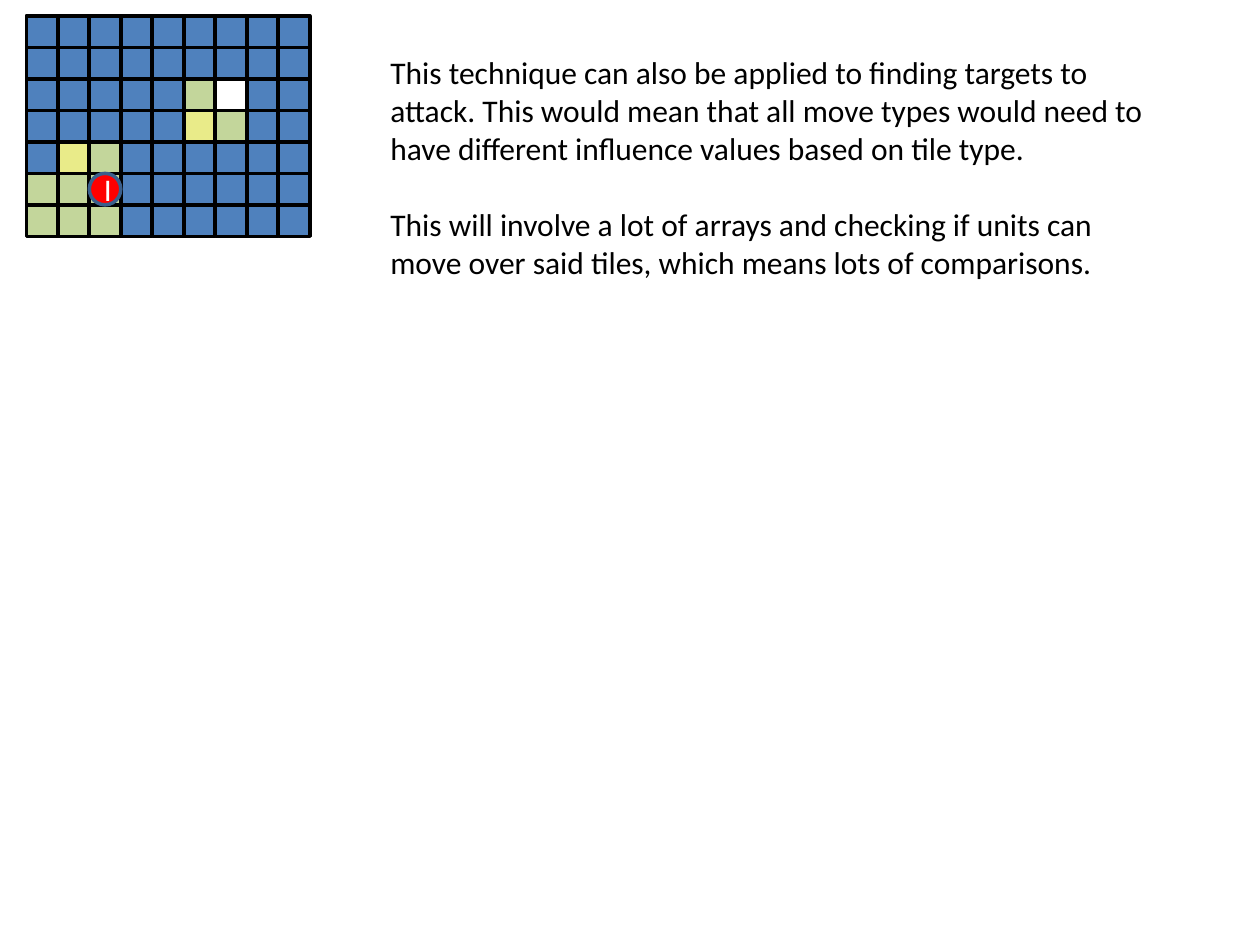
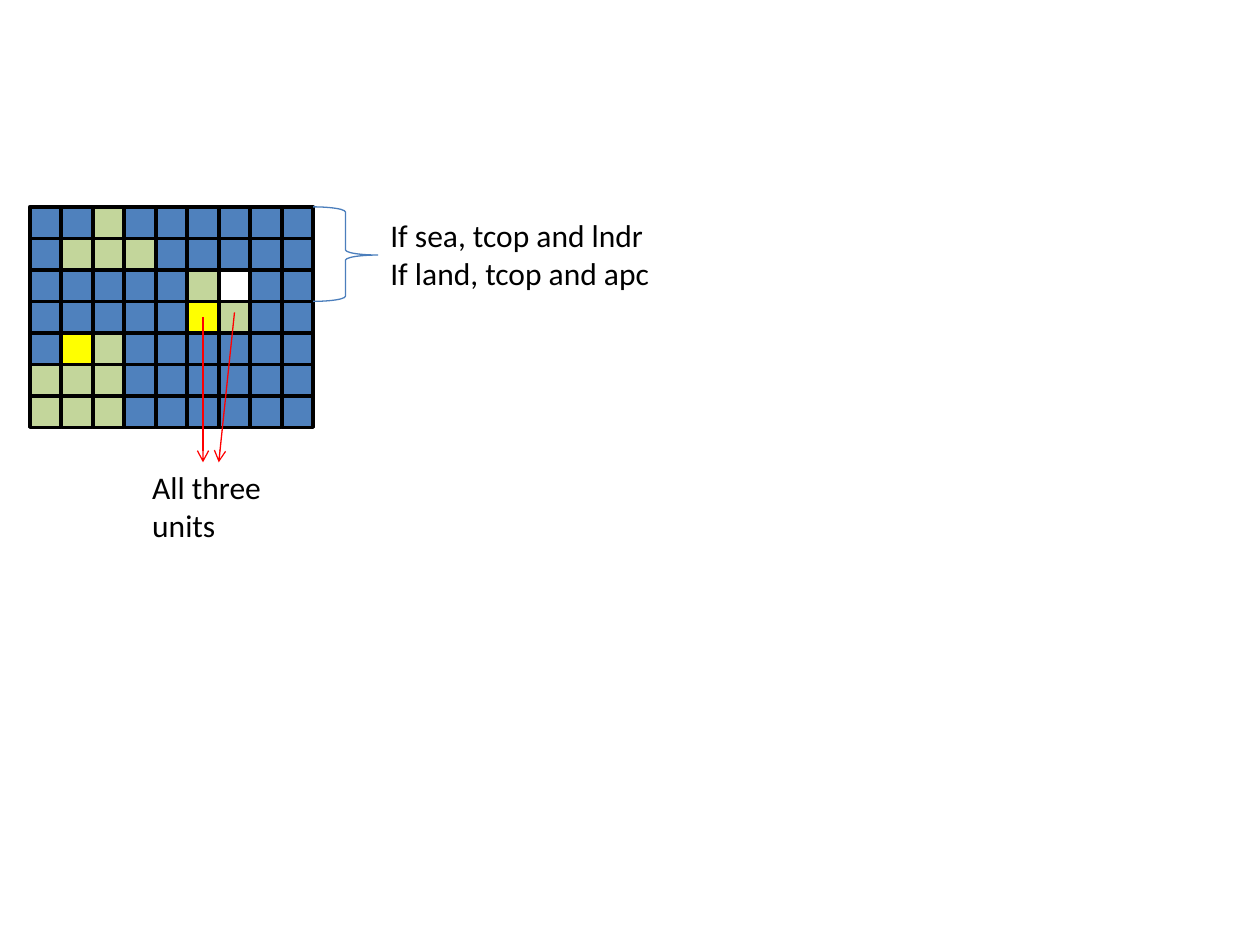
from dataclasses import dataclass

from lxml import etree
from pptx import Presentation
from pptx.dml.color import RGBColor
from pptx.enum.shapes import MSO_CONNECTOR, MSO_SHAPE
from pptx.enum.text import MSO_ANCHOR, MSO_AUTO_SIZE, PP_ALIGN
from pptx.oxml.ns import qn
from pptx.shapes.autoshape import Shape
from pptx.shapes.shapetree import GroupShapes, SlideShapes
from pptx.slide import Slide
from pptx.text.text import _Paragraph
from pptx.util import Cm, Length, Pt

RECTANGLE = MSO_SHAPE.RECTANGLE
OVAL = MSO_SHAPE.OVAL
RIGHT_BRACE = MSO_SHAPE.RIGHT_BRACE
STRAIGHT = MSO_CONNECTOR.STRAIGHT
MIDDLE = MSO_ANCHOR.MIDDLE
CENTER = PP_ALIGN.CENTER
GROW = MSO_AUTO_SIZE.SHAPE_TO_FIT_TEXT


@dataclass(frozen=True)
class Theme:
    sea: RGBColor = RGBColor(0x4F, 0x81, 0xBD)
    land: RGBColor = RGBColor(0xC3, 0xD6, 0x9B)
    pale_yellow: RGBColor = RGBColor(0xE9, 0xEB, 0x89)
    yellow: RGBColor = RGBColor(0xFF, 0xFF, 0x00)
    white: RGBColor = RGBColor(0xFF, 0xFF, 0xFF)
    black: RGBColor = RGBColor(0x00, 0x00, 0x00)
    red: RGBColor = RGBColor(0xFF, 0x00, 0x00)
    unit_outline: RGBColor = RGBColor(0x3A, 0x5F, 0x8C)
    brace: RGBColor = RGBColor(0x4B, 0x7E, 0xBC)
    font: str = "Calibri"
    text_size: Length = Pt(18)
    paragraph_gap: Length = Pt(22)
    thick_line: Length = Pt(2)
    thin_line: Length = Pt(0.75)


THEME = Theme()
TILE = Cm(2.54) // 4


@dataclass(frozen=True)
class Board:
    left: Length
    top: Length
    rows: tuple[str, ...]
    highlight: RGBColor

    def column_x(self, column: float) -> int:
        return self.left + round(column * TILE)

    def row_y(self, row: float) -> int:
        return self.top + round(row * TILE)


@dataclass(frozen=True)
class Note:
    left: Length
    top: Length
    width: Length
    height: Length
    paragraphs: tuple[str, ...]
    gap: Length = Pt(0)


@dataclass(frozen=True)
class Arrow:
    start_x: int
    start_y: int
    end_x: int
    end_y: int


def style_outline(shape: Shape, color: RGBColor, width: Length) -> None:
    shape.shadow.inherit = False
    shape.line.color.rgb = color
    shape.line.width = width


def add_text(paragraph: _Paragraph, text: str, color: RGBColor) -> None:
    run = paragraph.add_run()
    run.text = text
    run.font.name = THEME.font
    run.font.size = THEME.text_size
    run.font.color.rgb = color


def draw_board(shapes: SlideShapes | GroupShapes, board: Board) -> None:
    fills = {
        "s": THEME.sea,
        "l": THEME.land,
        "h": board.highlight,
        "w": THEME.white,
    }
    for row, tiles in enumerate(board.rows):
        for column, kind in enumerate(tiles):
            tile = shapes.add_shape(
                RECTANGLE, board.column_x(column), board.row_y(row), TILE, TILE
            )
            tile.fill.solid()
            tile.fill.fore_color.rgb = fills[kind]
            style_outline(tile, THEME.black, THEME.thick_line)


def draw_unit(slide: Slide, board: Board, column: int, row: int, label: str) -> None:
    unit = slide.shapes.add_shape(
        OVAL, board.column_x(column), board.row_y(row), TILE, TILE
    )
    unit.fill.solid()
    unit.fill.fore_color.rgb = THEME.red
    style_outline(unit, THEME.unit_outline, THEME.thick_line)
    unit.text_frame.vertical_anchor = MIDDLE
    paragraph = unit.text_frame.paragraphs[0]
    paragraph.alignment = CENTER
    add_text(paragraph, label, THEME.white)


def draw_brace(slide: Slide, board: Board, row_count: int) -> None:
    brace = slide.shapes.add_shape(
        RIGHT_BRACE,
        board.column_x(len(board.rows[0])),
        board.top,
        Cm(1.3),
        row_count * TILE,
    )
    brace.adjustments[0] = 0.08
    brace.adjustments[1] = 0.51
    brace.fill.background()
    style_outline(brace, THEME.brace, THEME.thin_line)


def draw_note(slide: Slide, note: Note) -> None:
    box = slide.shapes.add_textbox(note.left, note.top, note.width, note.height)
    frame = box.text_frame
    frame.word_wrap = True
    frame.auto_size = GROW
    for index, text in enumerate(note.paragraphs):
        paragraph = frame.add_paragraph() if index else frame.paragraphs[0]
        if index:
            paragraph.space_before = note.gap
        add_text(paragraph, text, THEME.black)


def draw_arrow(slide: Slide, arrow: Arrow) -> None:
    connector = slide.shapes.add_connector(
        STRAIGHT, arrow.start_x, arrow.start_y, arrow.end_x, arrow.end_y
    )
    connector.line.color.rgb = THEME.red
    connector.line.width = THEME.thin_line
    properties = connector._element.spPr
    etree.SubElement(properties.find(qn("a:ln")), qn("a:tailEnd"), type="arrow")
    etree.SubElement(properties, qn("a:effectLst"))


def build_targets_slide(slide: Slide) -> None:
    board = Board(
        Cm(0.53),
        Cm(0.32),
        (
            "sssssssss",
            "sssssssss",
            "ssssslwss",
            "ssssshlss",
            "shlssssss",
            "lllssssss",
            "lllssssss",
        ),
        THEME.pale_yellow,
    )
    draw_board(slide.shapes, board)
    draw_unit(slide, board, 2, 5, "I")
    draw_note(
        slide,
        Note(
            Cm(7.62),
            Cm(0.95),
            Cm(15.67),
            Cm(4.88),
            (
                "This technique can also be applied to finding targets to attack. "
                "This would mean that all move types would need to have different "
                "influence values based on tile type.",
                "This will involve a lot of arrays and checking if units can move "
                "over said tiles, which means lots of comparisons.",
            ),
            THEME.paragraph_gap,
        ),
    )


def build_transport_slide(slide: Slide) -> None:
    board = Board(
        Cm(0.6),
        Cm(4.17),
        (
            "sslssssss",
            "slllsssss",
            "ssssslwss",
            "ssssshlss",
            "shlssssss",
            "lllssssss",
            "lllssssss",
        ),
        THEME.yellow,
    )
    draw_board(slide.shapes.add_group_shape().shapes, board)
    draw_brace(slide, board, 3)
    notes = (
        Note(
            Cm(7.62),
            Cm(4.24),
            Cm(6.15),
            Cm(1.8),
            ("If sea, tcop and lndr", "If land, tcop and apc"),
        ),
        Note(Cm(2.82), Cm(9.32), Cm(3.18), Cm(1.8), ("All three units",)),
    )
    for note in notes:
        draw_note(slide, note)
    arrow_end = Cm(9.32)
    arrows = (
        Arrow(board.column_x(5.5), board.row_y(3.5), board.column_x(5.5), arrow_end),
        Arrow(board.column_x(6.5), board.row_y(3.35), board.column_x(6), arrow_end),
    )
    for arrow in arrows:
        draw_arrow(slide, arrow)


def main() -> None:
    presentation = Presentation()
    presentation.slide_width = Cm(25.4)
    presentation.slide_height = Cm(19.05)
    blank_layout = presentation.slide_layouts[6]
    for build_slide in (build_targets_slide, build_transport_slide):
        build_slide(presentation.slides.add_slide(blank_layout))
    presentation.save("out.pptx")


main()
